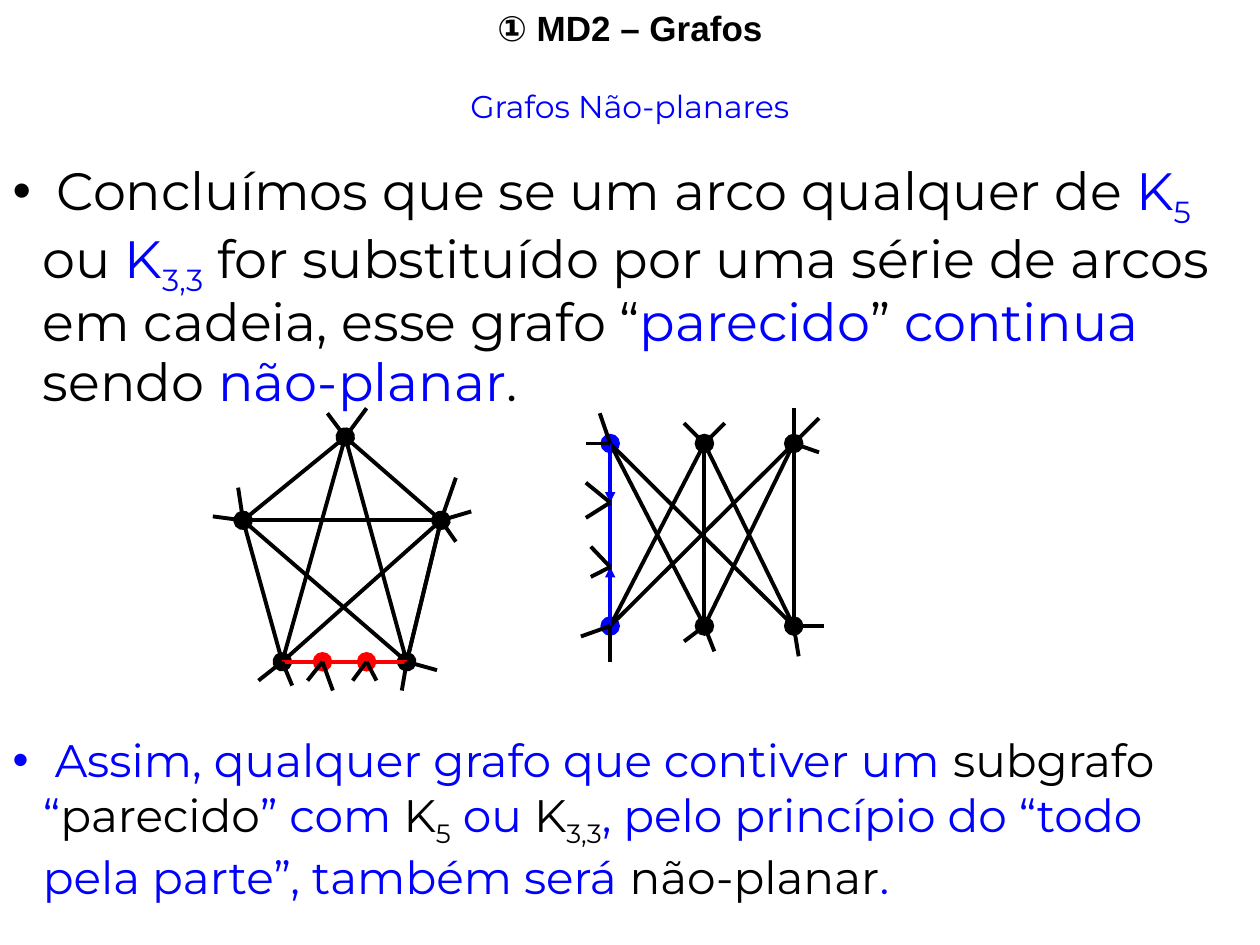
from pptx import Presentation
from pptx import util as u
from pptx.dml.color import RGBColor
from pptx.enum import shapes, text
from pptx.oxml.ns import qn
from lxml import etree

COLOURS = {"black": "000000", "blue": "0000FF", "red": "FF0000"}


def add_spans(para, size, pieces):
    for words, colour, lowered in pieces:
        span = para.add_run()
        span.text = words
        span.font.color.rgb = RGBColor.from_string(COLOURS[colour])
        if lowered:
            span.font._element.set("baseline", "-25000")
    para.font.name = "Montserrat"
    para.font.size = u.Pt(size)


def add_line(group, start, end, colour="black", head=None, tail=None, width=2.25):
    points = [u.Cm(value) for value in (*start, *end)]
    line = group.shapes.add_connector(shapes.MSO_CONNECTOR.STRAIGHT, *points)
    line.line.width = u.Pt(width)
    line.line.color.rgb = RGBColor.from_string(COLOURS[colour])
    outline = line.line._get_or_add_ln()
    for tag, kind in (("a:headEnd", head), ("a:tailEnd", tail)):
        if kind:
            size = "lg" if kind == "oval" else "med"
            etree.SubElement(outline, qn(tag), type=kind, w=size, len=size)
    etree.SubElement(line._element.spPr, qn("a:effectLst"))


deck = Presentation()
deck.slide_width, deck.slide_height = u.Cm(25.4), u.Cm(19.05)
page = deck.slides.add_slide(deck.slide_layouts[3])

title, claim, conclusion = page.placeholders
for box, top, height in ((title, 0, 1.12), (claim, 1.63, 6.83), (conclusion, 14.63, 3.71)):
    box.left, box.top, box.width, box.height = 0, u.Cm(top), u.Cm(25.4), u.Cm(height)
    frame = box.text_frame
    frame.word_wrap = True
    frame.auto_size = text.MSO_AUTO_SIZE.NONE
    frame.vertical_anchor = text.MSO_ANCHOR.TOP

title.text_frame.text = "① MD2 – Grafos"
heading = title.text_frame.paragraphs[0]
heading.alignment = text.PP_ALIGN.CENTER
heading.font.name = "Arial"
heading.font.size = u.Pt(20)
heading.font.bold = True
heading.font.color.rgb = RGBColor.from_string(COLOURS["black"])

subtitle = claim.text_frame.paragraphs[0]
claim_para = claim.text_frame.add_paragraph()
conclusion_para = conclusion.text_frame.paragraphs[0]

subtitle.alignment = text.PP_ALIGN.CENTER
subtitle.space_before = u.Pt(0)
subtitle_format = subtitle._p.get_or_add_pPr()
subtitle_format.set("marL", "0")
subtitle_format.set("indent", "0")
etree.SubElement(subtitle_format, qn("a:buNone"))
add_spans(subtitle, 18, [("Grafos Não-planares", "blue", False)])

claim_para.line_spacing = 0.95
claim_para.space_before = u.Pt(18.7)
conclusion_para.space_before = u.Pt(0)
for para, colour in ((claim_para, "black"), (conclusion_para, "blue")):
    para_format = para._p.get_or_add_pPr()
    para_format.set("marL", str(u.Cm(0.61)))
    para_format.set("indent", str(u.Cm(-0.61)))
    bullet_colour = etree.SubElement(para_format, qn("a:buClr"))
    etree.SubElement(bullet_colour, qn("a:srgbClr"), val=COLOURS[colour])
    etree.SubElement(para_format, qn("a:buChar"), char="•")

add_spans(claim_para, 30, [
    (" Concluímos que se um arco qualquer de ", "black", False),
    ("K", "blue", False), ("5", "blue", True),
    (" ou ", "black", False),
    ("K", "blue", False), ("3,3", "blue", True),
    (" for substituído por uma série de arcos em cadeia, esse grafo “", "black", False),
    ("parecido", "blue", False), ("” ", "black", False),
    ("continua", "blue", False), (" sendo ", "black", False),
    ("não-planar", "blue", False), (".", "black", False),
])
add_spans(conclusion_para, 26, [
    (" Assim, qualquer grafo que contiver um ", "blue", False),
    ("subgrafo", "black", False), (" “", "blue", False),
    ("parecido", "black", False), ("” com ", "blue", False),
    ("K", "black", False), ("5", "black", True),
    (" ou ", "blue", False),
    ("K", "black", False), ("3,3", "black", True),
    (", pelo princípio do “todo pela parte”, também será ", "blue", False),
    ("não-planar", "black", False), (".", "blue", False),
])

apex, west, east = (6.96, 8.81), (4.9, 10.49), (8.89, 10.49)
south_west, south_east = (5.69, 13.34), (8.2, 13.34)
chain_west, chain_east = (6.5, 13.34), (7.39, 13.34)
upper = [(x, 8.94) for x in (12.3, 14.2, 16)]
lower = [(x, 12.62) for x in (12.3, 14.2, 16)]
chain_top, chain_bottom = (12.3, 10.13), (12.3, 11.43)

pentagon = page.shapes.add_group_shape()
for start, end in ((apex, west), (west, south_west), (south_east, east), (east, apex)):
    add_line(pentagon, start, end, tail="oval")
add_line(pentagon, east, south_east, tail="oval")
for start, end in ((west, east), (apex, south_west), (apex, south_east),
                   (east, south_west), (west, south_east)):
    add_line(pentagon, start, end)
add_line(pentagon, south_west, south_east, "red")
for start, end in ((south_west, chain_west), (south_east, chain_east)):
    add_line(pentagon, start, end, "red", tail="oval")

bipartite = page.shapes.add_group_shape()
for column, (start, end) in enumerate(zip(upper, lower)):
    add_line(bipartite, start, end, "black" if column else "blue", "oval", "oval")
for i, start in enumerate(upper):
    for j, end in enumerate(lower):
        if i != j:
            add_line(bipartite, start, end)
for start, end in ((upper[0], chain_top), (lower[0], chain_bottom)):
    add_line(bipartite, start, end, "blue", tail="triangle", width=0.75)

loose_ends = [
    (pentagon, apex, [(7.39, 8.23), (6.6, 8.33)]),
    (pentagon, east, [(9.19, 9.63), (9.5, 10.31), (9.19, 10.92)]),
    (pentagon, south_east, [(8.81, 13.51), (8.1, 13.92)]),
    (pentagon, south_west, [(5.21, 13.72), (5.89, 13.82)]),
    (pentagon, west, [(4.8, 9.83), (4.29, 10.41)]),
    (pentagon, chain_west, [(6.2, 13.72), (6.71, 13.92)]),
    (pentagon, chain_east, [(7.11, 13.72), (7.59, 13.72)]),
    (bipartite, upper[0], [(12.09, 8.33), (11.81, 8.94)]),
    (bipartite, upper[1], [(13.79, 8.53), (14.61, 8.53)]),
    (bipartite, upper[2], [(16, 8.23), (16.51, 8.43), (16.51, 9.12)]),
    (bipartite, lower[2], [(16.61, 12.62), (16.1, 13.23)]),
    (bipartite, lower[1], [(13.79, 12.93), (14.4, 13.13)]),
    (bipartite, lower[0], [(11.71, 12.83), (12.3, 13.34)]),
    (bipartite, chain_top, [(11.81, 9.73), (11.81, 10.44)]),
    (bipartite, chain_bottom, [(11.91, 11.02), (11.91, 11.63)]),
]
for group, node, ends in loose_ends:
    for end in ends:
        add_line(group, node, end)

deck.save("out.pptx")
